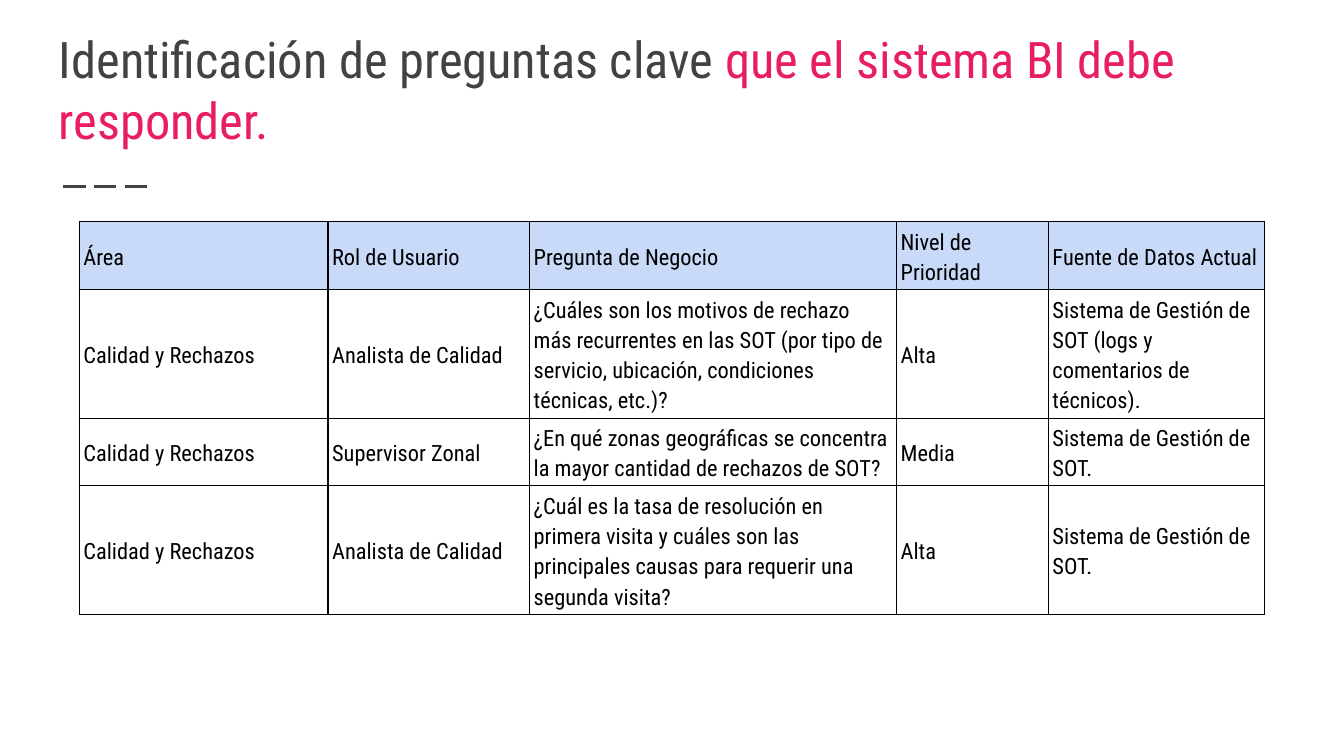
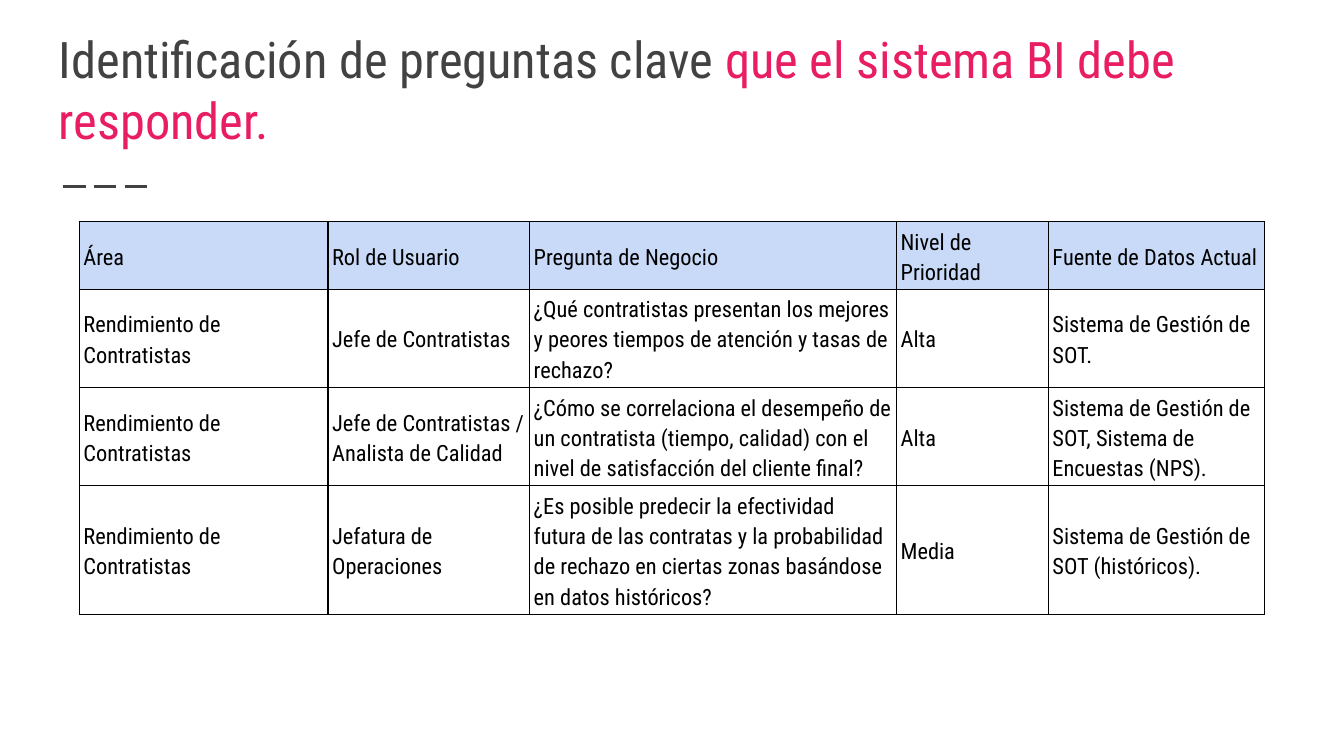
import pptx
import pptx.dml.color
import pptx.enum.dml
import pptx.enum.shapes
import pptx.enum.text
import pptx.oxml
import pptx.oxml.ns
import pptx.util
from pptx.util import Inches

HEADERS = ["Área", "Rol de Usuario", "Pregunta de Negocio", "Nivel de Prioridad",
           "Fuente de Datos Actual"]
COLUMN_WIDTHS = [1.85, 1.5, 2.73, 1.13, 1.61]
TITLE_START = "Identificación de preguntas clave "
TITLE_END = "que el sistema BI debe responder."

# Row heights and questions for each area
AREAS = [
    ("Calidad y Rechazos", [0.39, 0.56, 0.49, 0.46], [
        ("Analista de Calidad",
         "¿Cuáles son los motivos de rechazo más recurrentes en las SOT "
         "(por tipo de servicio, ubicación, condiciones técnicas, etc.)?",
         "Alta", "Sistema de Gestión de SOT (logs y comentarios de técnicos)."),
        ("Supervisor Zonal",
         "¿En qué zonas geográficas se concentra la mayor cantidad de rechazos de SOT?",
         "Media", "Sistema de Gestión de SOT."),
        ("Analista de Calidad",
         "¿Cuál es la tasa de resolución en primera visita y cuáles son las "
         "principales causas para requerir una segunda visita?",
         "Alta", "Sistema de Gestión de SOT."),
    ]),
    ("Rendimiento de Contratistas", [0.39, 0.42, 0.64, 0.38], [
        ("Jefe de Contratistas",
         "¿Qué contratistas presentan los mejores y peores tiempos de atención "
         "y tasas de rechazo?",
         "Alta", "Sistema de Gestión de SOT."),
        ("Jefe de Contratistas / Analista de Calidad",
         "¿Cómo se correlaciona el desempeño de un contratista (tiempo, calidad) "
         "con el nivel de satisfacción del cliente final?",
         "Alta", "Sistema de Gestión de SOT, Sistema de Encuestas (NPS)."),
        ("Jefatura de Operaciones",
         "¿Es posible predecir la efectividad futura de las contratas y la "
         "probabilidad de rechazo en ciertas zonas basándose en datos históricos?",
         "Media", "Sistema de Gestión de SOT (históricos)."),
    ]),
]


def color(value):
    return pptx.dml.color.RGBColor.from_string(value)


class DeckBuilder:
    FONT = "Roboto Condensed"
    GRAY = "424242"
    PINK = "E91D63"
    BLACK = "000000"
    HEADER_FILL = "C9DAF8"

    def __init__(self):
        self.deck = pptx.Presentation()
        self.deck.slide_width = Inches(10)
        self.deck.slide_height = Inches(10 * 9 / 16)
        self.page = None

    def add_page(self):
        self.page = self.deck.slides.add_slide(self.deck.slide_layouts[6])

    def add_span(self, para, text, size, fill):
        span = para.add_run()
        span.text = text
        span.font.name = self.FONT
        span.font.size = pptx.util.Pt(size)
        span.font.color.rgb = color(fill)

    def add_rule(self):
        line = self.page.shapes.add_connector(
            pptx.enum.shapes.MSO_CONNECTOR.STRAIGHT,
            Inches(0.47), Inches(1.39), Inches(1.14), Inches(1.39))
        line.line.color.rgb = color(self.GRAY)
        line.line.width = pptx.util.Pt(1.5)
        line.line.dash_style = pptx.enum.dml.MSO_LINE.LONG_DASH
        properties = line._element.spPr
        properties.append(properties.makeelement(pptx.oxml.ns.qn("a:effectLst"), {}))

    def add_title(self, start, end):
        box = self.page.shapes.add_textbox(
            Inches(0.34), Inches(0.56), Inches(9.32), Inches(0.65))
        frame = box.text_frame
        frame.word_wrap = True
        frame.vertical_anchor = pptx.enum.text.MSO_ANCHOR.BOTTOM
        frame.margin_left = frame.margin_right = Inches(0.1)
        frame.margin_top = frame.margin_bottom = Inches(0.1)
        para = frame.paragraphs[0]
        self.add_span(para, start, 27, self.GRAY)
        self.add_span(para, end, 27, self.PINK)

    def add_borders(self, cell):
        properties = cell._tc.get_or_add_tcPr()
        for side in ("L", "R", "T", "B"):
            properties.append(pptx.oxml.parse_xml(
                f'<a:ln{side} {pptx.oxml.ns.nsdecls("a")} w="9525"><a:solidFill>'
                f'<a:srgbClr val="{self.BLACK}"/></a:solidFill></a:ln{side}>'))

    def fill_cell(self, cell, text, is_header):
        self.add_borders(cell)
        if is_header:
            cell.fill.solid()
            cell.fill.fore_color.rgb = color(self.HEADER_FILL)
        else:
            cell.fill.background()
        cell.margin_left = cell.margin_right = Inches(1 / 32)
        cell.margin_top = cell.margin_bottom = Inches(1 / 48)
        cell.vertical_anchor = pptx.enum.text.MSO_ANCHOR.MIDDLE
        para = cell.text_frame.paragraphs[0]
        para.line_spacing = 1.15
        self.add_span(para, text, 12, self.BLACK)

    def add_table(self, rows, widths, heights):
        holder = self.page.shapes.add_table(
            len(rows), len(widths), Inches(0.59), Inches(1.65),
            Inches(3.28), Inches(3.28))
        table = holder.table
        table.first_row = False
        table.horz_banding = False
        for column, width in zip(table.columns, widths):
            column.width = Inches(width)
        for row, height in zip(table.rows, heights):
            row.height = Inches(height)
        # The rows grow with their text inside a fixed square frame
        holder.width = holder.height = Inches(3.28)
        for row_index, texts in enumerate(rows):
            for column_index, text in enumerate(texts):
                self.fill_cell(table.cell(row_index, column_index), text, row_index == 0)


def main():
    builder = DeckBuilder()
    # One page per business area
    for area, heights, questions in AREAS:
        builder.add_page()
        builder.add_rule()
        builder.add_title(TITLE_START, TITLE_END)
        rows = [HEADERS] + [(area, *question) for question in questions]
        builder.add_table(rows, COLUMN_WIDTHS, heights)
    builder.deck.save("out.pptx")


if __name__ == "__main__":
    main()
